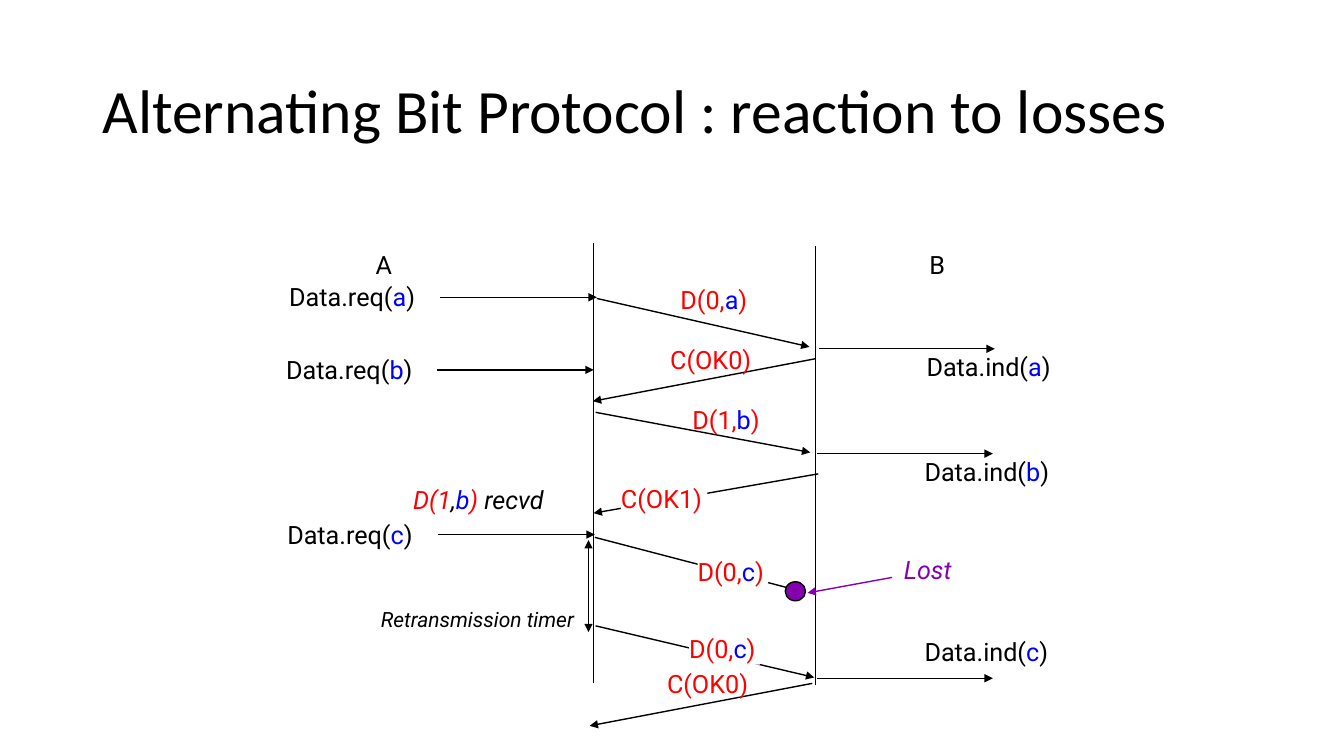
"""Build a sequence diagram of the Alternating Bit Protocol recovering from losses."""
from lxml import etree
from pptx import Presentation
from pptx.dml.color import RGBColor
from pptx.enum.shapes import MSO_CONNECTOR, MSO_SHAPE
from pptx.enum.text import MSO_ANCHOR, MSO_AUTO_SIZE, PP_ALIGN
from pptx.oxml.ns import qn
from pptx.util import Cm, Pt

STRAIGHT = MSO_CONNECTOR.STRAIGHT
OVAL = MSO_SHAPE.OVAL
MIDDLE = MSO_ANCHOR.MIDDLE
GROW = MSO_AUTO_SIZE.SHAPE_TO_FIT_TEXT
LEFT = PP_ALIGN.LEFT

COLOURS = {
    "black": "000000",
    "white": "FFFFFF",
    "frame": "FF0000",
    "payload": "0000FF",
    "loss": "8500AF",
}
TITLE_ONLY = 5
DATA_WIDTH = 1.78
ACK_WIDTH = 2.18

REQUESTS = [("a", 7.29, 7.49), ("b", 7.21, 9.32), ("c", 7.24, 13.47)]
INDICATIONS = [
    ("a", 20.65, 8.79, 8.97),
    ("b", 20.6, 11.43, 11.61),
    ("c", 20.6, 17.09, 16.15),
]
DATA_FRAMES = [
    ("0", "a", (15.04, 7.52), (20.4, 8.74), (17.15, 7.29), False),
    ("1", "b", (15.01, 10.39), (20.42, 11.4), (17.45, 10.31), False),
    ("0", "c", (14.99, 13.54), (20.04, 14.86), (17.58, 14.15), True),
    ("0", "c", (15.01, 15.77), (20.52, 17.07), (17.37, 16.08), True),
]
ACKS = [
    ("C(OK0)", (20.55, 9.04), (14.94, 10.11), (16.89, 8.79), False),
    ("C(OK1)", (20.62, 11.94), (14.96, 12.93), (15.65, 12.29), True),
    ("C(OK0)", (20.47, 17.22), (14.86, 18.29), (16.81, 16.97), False),
]


def colour(name):
    """Return the named colour."""
    return RGBColor.from_string(COLOURS[name])


def add_title(page, text):
    """Fill and place the title placeholder."""
    title = page.shapes.title
    title.left, title.top = Cm(2.33), Cm(1.01)
    title.width, title.height = Cm(29.21), Cm(3.68)
    title.text_frame.text = text
    title.text_frame.vertical_anchor = MIDDLE
    para = title.text_frame.paragraphs[0]
    para.alignment = LEFT
    para.line_spacing = 0.9
    para.font.name = "Calibri"
    para.font.size = Pt(44)
    para.font.color.rgb = colour("black")


def add_line(page, start, end, shade="black", ends=()):
    """Draw a straight line with a triangle at each of the named ends."""
    line = page.shapes.add_connector(
        STRAIGHT, Cm(start[0]), Cm(start[1]), Cm(end[0]), Cm(end[1]))
    line.line.color.rgb = colour(shade)
    line.line.width = Pt(1)
    for name in ends:
        etree.SubElement(line.line._get_or_add_ln(), qn(f"a:{name}"), type="triangle")
    etree.SubElement(line._element.spPr, qn("a:effectLst"))


def add_arrow(page, start, end, shade="black"):
    """Draw an arrow pointing at its end."""
    add_line(page, start, end, shade, ["tailEnd"])


def add_label(page, spans, place, width, size=18, italic=False, masked=False):
    """Write coloured spans on one line, hiding what lies behind if masked."""
    box = page.shapes.add_textbox(Cm(place[0]), Cm(place[1]), Cm(width), Cm(0.67))
    if masked:
        box.fill.solid()
        box.fill.fore_color.rgb = colour("white")
    frame = box.text_frame
    frame.margin_left = frame.margin_right = frame.margin_top = frame.margin_bottom = 0
    frame.word_wrap = False
    frame.auto_size = GROW
    para = frame.paragraphs[0]
    para.line_spacing = 0.97 if italic else 0.84
    para.font.name = "Roboto"
    para.font.size = Pt(size)
    para.font.italic = italic
    for text, shade in spans:
        span = para.add_run()
        span.text = text
        span.font.color.rgb = colour(shade)


def wrap_payload(before, letter, shade):
    """Return the spans of a call around a payload letter."""
    return [(before, shade), (letter, "payload"), (")", shade)]


def add_request(page, letter, left, y):
    """Draw a data request arriving at the sender."""
    add_arrow(page, (left + 3.81, y), (left + 7.75, y))
    add_label(page, wrap_payload("Data.req(", letter, "black"), (left, y - 0.27), 3.24)


def add_indication(page, letter, left, y, label_top):
    """Draw a data indication leaving the receiver."""
    add_arrow(page, (left, y), (left + 4.42, y))
    spans = wrap_payload("Data.ind(", letter, "black")
    add_label(page, spans, (left + 2.7, label_top), 3.16)


def add_message(page, spans, start, end, place, width, masked):
    """Draw a message between the two hosts with its label."""
    add_arrow(page, start, end)
    add_label(page, spans, place, width, masked=masked)


def add_loss(page):
    """Mark the lost frame."""
    add_arrow(page, (22.48, 14.55), (20.35, 14.94), "loss")
    dot = page.shapes.add_shape(OVAL, Cm(19.79), Cm(14.66), Cm(0.51), Cm(0.48))
    dot.shadow.inherit = False
    dot.fill.solid()
    dot.fill.fore_color.rgb = colour("loss")
    dot.line.color.rgb = colour("black")
    dot.line.width = Pt(1)
    add_label(page, [("Lost", "loss")], (22.78, 14.02), 1.22, italic=True)


def add_timer(page):
    """Draw the span of the retransmission timer."""
    add_line(page, (14.83, 13.61), (14.83, 15.93), ends=["headEnd", "tailEnd"])
    add_label(page, [("Retransmission timer", "black")], (9.6, 15.32), 5.13,
              size=15, italic=True)


def main():
    """Build and save the deck."""
    deck = Presentation()
    deck.slide_width, deck.slide_height = Cm(33.87), Cm(19.05)
    page = deck.slides.add_slide(deck.slide_layouts[TITLE_ONLY])
    add_title(page, "Alternating Bit Protocol : reaction to losses")
    add_line(page, (14.96, 6.12), (14.96, 17.22))
    add_line(page, (20.55, 6.2), (20.55, 17.27))
    for host, left in [("A", 9.47), ("B", 23.42)]:
        add_label(page, [(host, "black")], (left, 6.4), 0.42)
    for request in REQUESTS:
        add_request(page, *request)
    for indication in INDICATIONS:
        add_indication(page, *indication)
    for bit, letter, start, end, place, masked in DATA_FRAMES:
        spans = wrap_payload(f"D({bit},", letter, "frame")
        add_message(page, spans, start, end, place, DATA_WIDTH, masked)
    for text, start, end, place, masked in ACKS:
        add_message(page, [(text, "frame")], start, end, place, ACK_WIDTH, masked)
    received = [("D(1", "frame"), (",", "black"), ("b", "payload"),
                (")", "frame"), (" recvd", "black")]
    add_label(page, received, (10.41, 12.24), 3.66, italic=True)
    add_loss(page)
    add_timer(page)
    deck.save("out.pptx")


if __name__ == "__main__":
    main()
